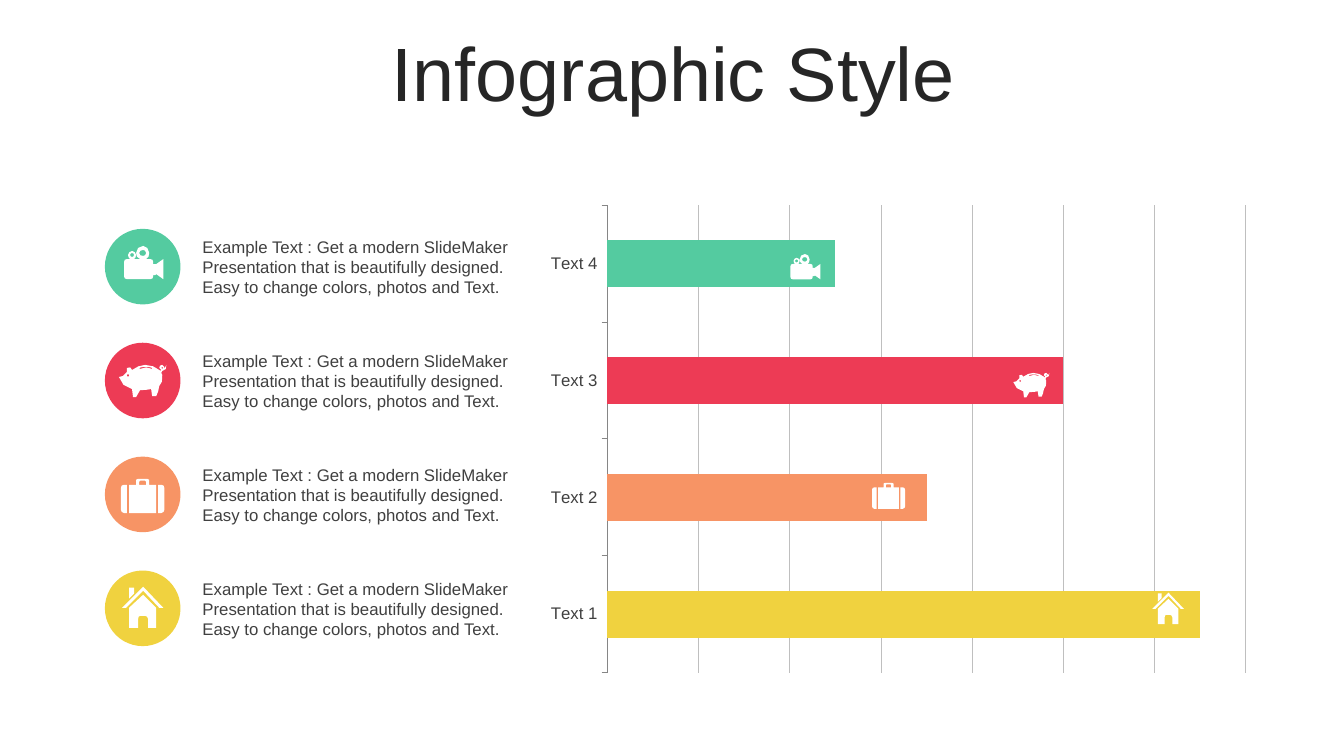
from math import dist

from pptx import Presentation
from pptx.chart.data import CategoryChartData
from pptx.dml.color import RGBColor
from pptx.enum.chart import XL_CHART_TYPE as ChartKind, XL_TICK_LABEL_POSITION as LabelAt, XL_TICK_MARK as Tick
from pptx.enum.shapes import MSO_SHAPE as Preset
from pptx.enum.text import MSO_ANCHOR as Anchor, MSO_AUTO_SIZE as AutoSize, PP_ALIGN as Align
from pptx.util import Inches, Pt

TITLE = "Infographic Style"
BLURB = ("Example Text : Get a modern SlideMaker Presentation that is "
         "beautifully designed. Easy to change colors, photos and Text.")

CAMERA = """M 8 7 C 7 7 6 8 6 9 C 6 10 7 11 8 11 C 9 11 10 10 10 9 C 10 8 9 7 8 7 Z
M 19 4 C 17 4 15 5 15 7 C 15 9 17 10 19 10 C 20 10 22 9 22 7 C 22 5 20 4 19 4 Z
M 19 0 C 22 0 25 3 25 7 C 25 10 24 12 22 13 L 26 13 C 28 13 29 14 29 16 L 29 18 L 31 18
L 32 18 L 39 13 L 39 33 L 32 28 L 31 29 L 29 29 L 29 30 C 29 32 28 33 26 33 L 3 33
C 1 33 0 32 0 30 L 0 16 C 0 14 1 13 3 13 L 6 13 C 5 12 4 11 4 9 C 4 7 6 5 8 5
C 10 5 12 7 12 9 C 12 11 11 12 10 13 L 16 13 C 13 12 12 10 12 7 C 12 3 15 0 19 0 Z"""
PIG = """M 9 9 L 8 10 L 8 11 L 9 12 L 10 11 L 10 10 Z
M 43 2 L 42 3 L 43 4 L 44 3 Z
M 27 2 C 25 2 22 2 20 3 L 21 4 C 25 2 29 2 33 4 L 33 3 C 31 2 29 2 27 2 Z
M 26 0 C 31 0 37 2 40 5 L 41 6 L 42 5 L 40 3 C 40 1 41 0 43 0
L 45 2 L 45 4 L 47 0 C 48 4 46 5 43 6 L 42 8
L 43 10 C 44 15 42 19 40 21 C 40 25 38 28 37 31 L 33 31
C 33 29 32 27 32 24 C 28 25 24 25 21 25 L 17 32 L 14 32 L 13 24
C 9 22 -1 19 0 12 L 4 11 L 8 7 L 8 3 C 11 1 12 3 13 5
C 16 2 23 0 26 0 Z"""
SUITCASE = """M 37 6 L 40 6 C 42 6 43 7 43 9 L 43 31 C 43 32 42 34 40 34 L 37 34 Z
M 3 6 L 6 6 L 6 34 L 3 34 C 1 34 0 32 0 31 L 0 9 C 0 7 1 6 3 6 Z
M 19 2 L 18 3 L 18 6 L 25 6 L 25 3 L 24 2 Z
M 17 0 L 26 0 L 28 1 L 28 6 L 35 6 L 35 34 L 8 34 L 8 6 L 15 6 L 15 1 Z"""
HOUSE = """M 21 8 L 34 21 L 34 41 L 26 41 L 26 32 C 26 30 24 29 23 29 L 18 29
C 17 29 16 30 16 32 L 16 41 L 7 41 L 7 21 Z
M 7 1 L 12 1 L 12 7 L 7 12 Z
M 21 0 L 41 21 L 37 21 L 21 4 L 4 21 L 0 21 Z"""

ROWS = [
    dict(label="Text 4", value=2.5, color="54CBA0", icon=CAMERA, badge_at=(1.23, 2.44), bar_at=(7.84, 2.52)),
    dict(label="Text 3", value=5, color="ED3B55", icon=PIG, badge_at=(1.18, 3.62), bar_at=(10.05, 3.7)),
    dict(label="Text 2", value=3.5, color="F79465", icon=SUITCASE, badge_at=(1.2, 4.75), bar_at=(8.65, 4.79)),
    dict(label="Text 1", value=6.5, color="F0D23F", icon=HOUSE, badge_at=(1.21, 5.82), bar_at=(11.43, 5.88)),
]

THEME = dict(font="Arial", title="262626", body="404040", grid="BFBFBF", axis="868686",
             icon="FFFFFF", title_size=54, body_size=12)
ROW_TOP, ROW_PITCH, BADGE = 2.27, 1.13, 0.75
BADGE_LEFT, BLURB_LEFT = 1.04, 1.91
BAR_ICON_SCALE = 0.76
CURVE_STEPS, MIN_GAP = 2, 1


def rgb(code):
    return RGBColor.from_string(code)


def style_font(font, size, color):
    font.name = THEME["font"]
    font.size = Pt(size)
    font.color.rgb = rgb(color)


def paint(shape, color):
    shape.fill.solid()
    shape.fill.fore_color.rgb = rgb(color)
    shape.line.fill.background()
    shape.shadow.inherit = False


def add_text(slide, text, box, size, color, align=Align.LEFT, anchor=Anchor.TOP, spacing=None,
             fit=AutoSize.NONE):
    frame = slide.shapes.add_textbox(*map(Inches, box)).text_frame
    frame.word_wrap = True
    frame.auto_size = fit
    frame.vertical_anchor = anchor
    paragraph = frame.paragraphs[0]
    paragraph.alignment = align
    paragraph.line_spacing = spacing
    run = paragraph.add_run()
    run.text = text
    style_font(run.font, size, color)


def curve_points(ends):
    for step in range(1, CURVE_STEPS + 1):
        t = step / CURVE_STEPS
        weights = ((1 - t) ** 3, 3 * t * (1 - t) ** 2, 3 * t * t * (1 - t), t ** 3)
        yield tuple(sum(w * end[axis] for w, end in zip(weights, ends)) for axis in (0, 1))


def outlines(drawing):
    for contour in drawing.split("Z"):
        words = contour.split()
        points = []
        while words:
            command = words.pop(0)
            count = 3 if command == "C" else 1
            ends = [(float(words.pop(0)), float(words.pop(0))) for _ in range(count)]
            reached = curve_points([points[-1], *ends]) if command == "C" else ends
            points += [point for point in reached if not points or dist(point, points[-1]) >= MIN_GAP]
        if points:
            yield points


def add_icon(slide, drawing, at, scale=1):
    unit = Inches(0.01) * scale
    contours = [[(x * unit, y * unit) for x, y in points] for points in outlines(drawing)]
    builder = slide.shapes.build_freeform(*contours[0][0])
    for index, points in enumerate(contours):
        if index:
            builder.move_to(*points[0])
        builder.add_line_segments(points[1:], close=True)
    paint(builder.convert_to_shape(*map(Inches, at)), THEME["icon"])


def add_bars(slide):
    bars = ROWS[::-1]
    chart_data = CategoryChartData()
    chart_data.categories = [row["label"] for row in bars]
    chart_data.add_series("Series 1", [row["value"] for row in bars])
    box = map(Inches, (5.32, 1.94, 7.18, 4.83))
    chart = slide.shapes.add_chart(ChartKind.BAR_STACKED, *box, chart_data).chart
    chart.has_legend = False
    chart.has_title = False
    style_font(chart.font, THEME["body_size"], THEME["body"])

    plot = chart.plots[0]
    plot.gap_width = 150
    plot.overlap = 100
    plot.vary_by_categories = False
    series = plot.series[0]
    series.format.fill.solid()
    series.format.fill.fore_color.rgb = rgb(THEME["body"])
    for index, row in enumerate(bars):
        fill = series.points[index].format.fill
        fill.solid()
        fill.fore_color.rgb = rgb(row["color"])

    labels = chart.category_axis
    labels.major_tick_mark = Tick.OUTSIDE
    labels.tick_label_position = LabelAt.NEXT_TO_AXIS
    labels.format.line.color.rgb = rgb(THEME["axis"])
    labels.format.line.width = Pt(0.75)
    style_font(labels.tick_labels.font, THEME["body_size"], THEME["body"])

    scale = chart.value_axis
    scale.visible = False
    scale.minimum_scale, scale.maximum_scale, scale.major_unit = 0, 7, 1
    scale.has_major_gridlines = True
    scale.major_gridlines.format.line.color.rgb = rgb(THEME["grid"])
    scale.major_gridlines.format.line.width = Pt(0.75)


def main():
    deck = Presentation()
    deck.slide_width, deck.slide_height = Inches(13.33), Inches(7.5)
    slide = deck.slides.add_slide(deck.slide_layouts[6])
    add_text(slide, TITLE, (0.35, 0.37, 12.66, 0.79), THEME["title_size"], THEME["title"],
             align=Align.CENTER, anchor=Anchor.MIDDLE, spacing=0.9)
    add_bars(slide)
    for index, row in enumerate(ROWS):
        top = ROW_TOP + index * ROW_PITCH
        badge = slide.shapes.add_shape(Preset.OVAL, *map(Inches, (BADGE_LEFT, top, BADGE, BADGE)))
        paint(badge, row["color"])
        add_text(slide, BLURB, (BLURB_LEFT, top + 0.03, 3.5, 0.71), THEME["body_size"], THEME["body"],
                 fit=AutoSize.SHAPE_TO_FIT_TEXT)
        add_icon(slide, row["icon"], row["badge_at"])
        add_icon(slide, row["icon"], row["bar_at"], scale=BAR_ICON_SCALE)
    deck.save("out.pptx")


if __name__ == "__main__":
    main()
